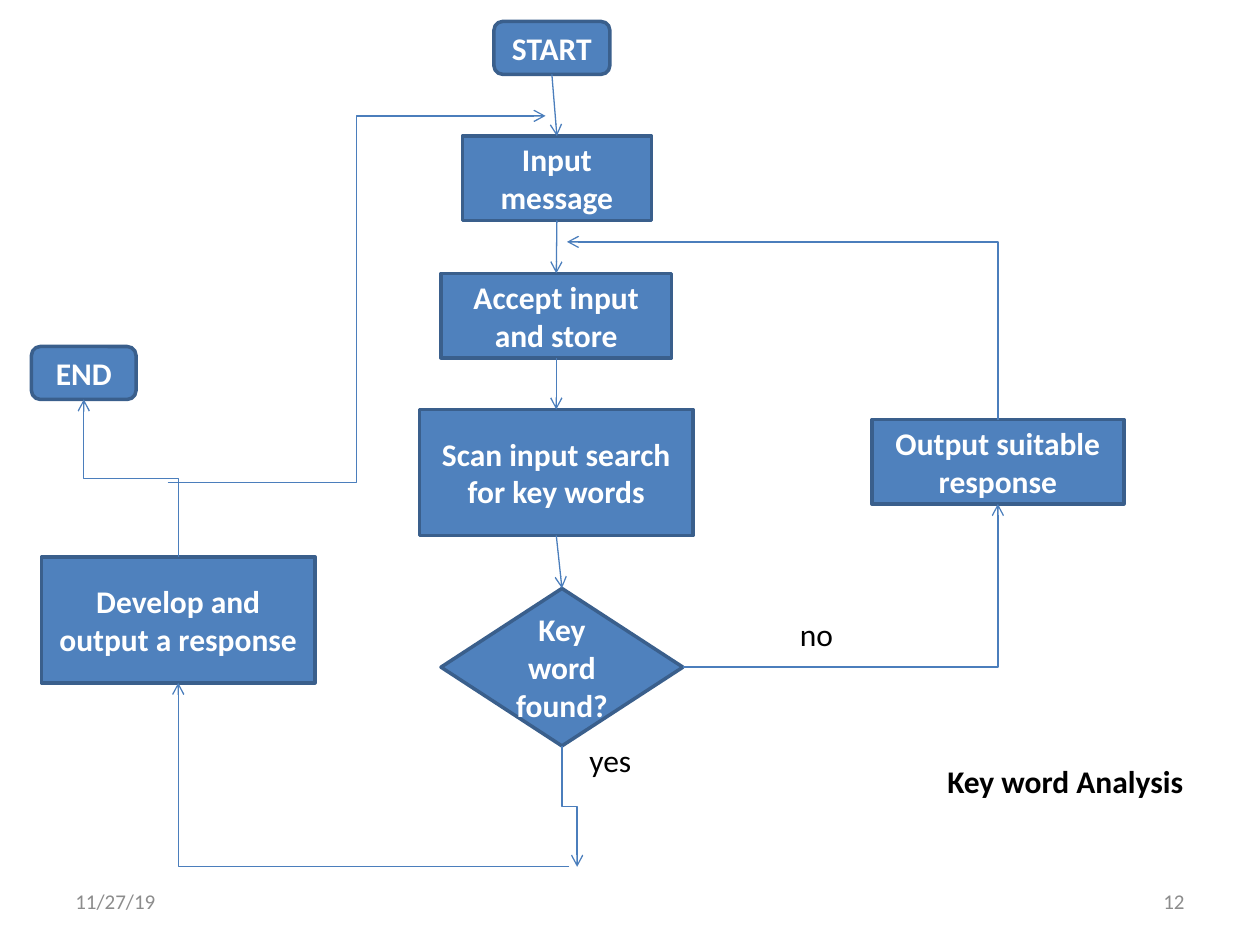
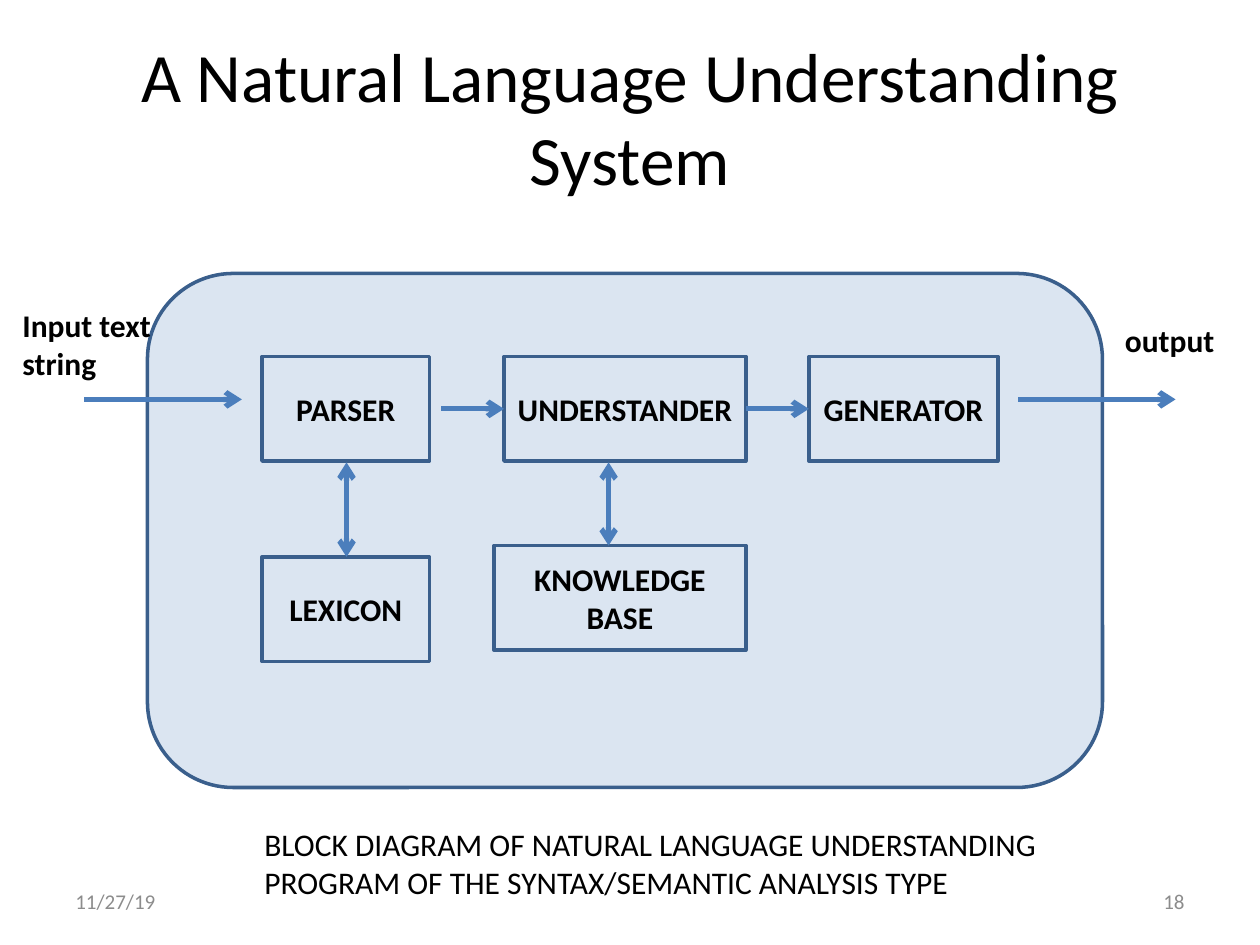
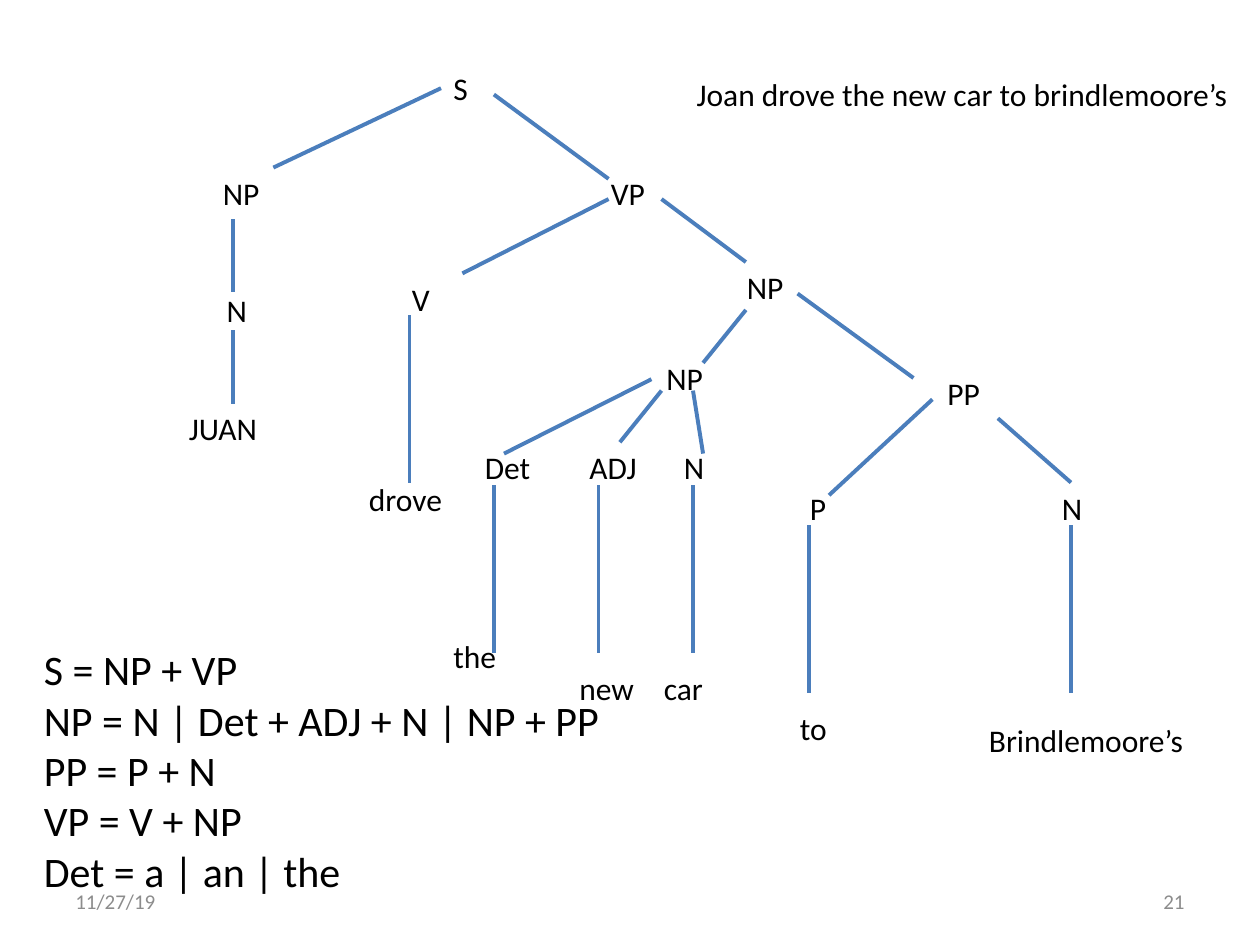
from dataclasses import dataclass

from lxml import etree
from pptx import Presentation
from pptx import util as u
from pptx.dml.color import RGBColor
from pptx.enum import shapes, text
from pptx.oxml.ns import qn
from pptx.slide import Slide

BLUE = RGBColor(0x4F, 0x81, 0xBD)
OUTLINE = RGBColor(0x3A, 0x5F, 0x8C)
LINK = RGBColor(0x4B, 0x7E, 0xBC)
BLACK = RGBColor(0, 0, 0)
WHITE = RGBColor(0xFF, 0xFF, 0xFF)
GREY = RGBColor(0x8C, 0x8C, 0x8C)
FONT = "Calibri"
DATE = "11/27/19"

FORM = shapes.MSO_SHAPE
ALIGN = text.PP_ALIGN
MIDDLE = text.MSO_ANCHOR.MIDDLE


def write(frame, content, size=18, color=BLACK, bold=False, align=ALIGN.LEFT):
    frame.word_wrap = True
    frame.text = content
    for paragraph in frame.paragraphs:
        paragraph.alignment = align
        for run in paragraph.runs:
            run.font.name = FONT
            run.font.size = u.Pt(size)
            run.font.bold = bold
            run.font.color.rgb = color


@dataclass
class Region:
    """A box on a slide; its parts are placed in inches from its corner."""
    slide: Slide
    left: float = 0
    top: float = 0

    def place(self, x, y):
        return u.Inches(self.left + x), u.Inches(self.top + y)

    def label(self, content, x, y, width, height=0.4, anchor=None, **style):
        box = self.slide.shapes.add_textbox(
            *self.place(x, y), u.Inches(width), u.Inches(height))
        write(box.text_frame, content, **style)
        if anchor is None:
            box.text_frame.auto_size = text.MSO_AUTO_SIZE.SHAPE_TO_FIT_TEXT
        else:
            box.text_frame.vertical_anchor = anchor

    def node(self, form, content, x, y, width, height, fill=BLUE, color=WHITE):
        node = self.slide.shapes.add_shape(
            form, *self.place(x, y), u.Inches(width), u.Inches(height))
        node.shadow.inherit = False
        if fill is None:
            node.fill.background()
        else:
            node.fill.solid()
            node.fill.fore_color.rgb = fill
        node.line.color.rgb = OUTLINE
        node.line.width = u.Pt(2)
        if content:
            write(node.text_frame, content, color=color, bold=True,
                  align=ALIGN.CENTER)
            node.text_frame.vertical_anchor = MIDDLE
        return node

    def side(self, node, name):
        """Middle of one side of a node, measured from the region's corner."""
        across, down = {"top": (0.5, 0), "bottom": (0.5, 1),
                        "left": (0, 0.5), "right": (1, 0.5)}[name]
        return ((node.left + across * node.width) / u.Inches(1) - self.left,
                (node.top + down * node.height) / u.Inches(1) - self.top)

    def line(self, start, end, width, ends=(), kind=shapes.MSO_CONNECTOR.STRAIGHT):
        line = self.slide.shapes.add_connector(
            kind, *self.place(*start), *self.place(*end))
        line.line.color.rgb = LINK
        line.line.width = u.Pt(width)
        for end_tag in ends:
            etree.SubElement(line.line._get_or_add_ln(), qn(end_tag), type="arrow")
        etree.SubElement(line._element.spPr, qn("a:effectLst"))
        return line

    def elbow(self, start, end, bends, upright=False):
        """Bent arrow; an upright one leaves its start vertically."""
        if upright:
            # Lay the route on its side, then turn it by 270 degrees
            (x1, y1), (x2, y2) = start, end
            mid_x, mid_y = (x1 + x2) / 2, (y1 + y2) / 2
            half_x, half_y = (y1 - y2) / 2, (x2 - x1) / 2
            start = mid_x - half_x, mid_y - half_y
            end = mid_x + half_x, mid_y + half_y
        arrow = self.line(start, end, 0.75, TO, shapes.MSO_CONNECTOR.ELBOW)
        properties = arrow._element.spPr
        properties.find(qn("a:prstGeom")).set("prst", f"bentConnector{bends + 1}")
        if upright:
            properties.find(qn("a:xfrm")).set("rot", str(270 * 60000))


TO = ("a:tailEnd",)
BOTH = ("a:headEnd", "a:tailEnd")


def add_footer(slide, number):
    footer = Region(slide, 0.5, 6.95)
    style = dict(size=12, color=GREY, anchor=MIDDLE)
    footer.label(DATE, 0, 0, 2.33, **style)
    footer.label(str(number), 6.67, 0, 2.33, align=ALIGN.RIGHT, **style)


def keyword_flowchart(area):
    step, terminal = FORM.FLOWCHART_PROCESS, FORM.FLOWCHART_ALTERNATE_PROCESS
    ask = area.node(step, "Input message", 3.67, 1.08, 1.5, 0.67)
    accept = area.node(step, "Accept input and store", 3.5, 2.17, 1.83, 0.67)
    scan = area.node(step, "Scan input search for key words", 3.33, 3.25, 2.17, 1)
    found = area.node(FORM.FLOWCHART_DECISION, "Key word found?", 3.5, 4.67, 1.92, 1.25)
    start = area.node(terminal, "START", 3.92, 0.17, 0.92, 0.42)
    end = area.node(terminal, "END", 0.25, 2.75, 0.83, 0.42)
    develop = area.node(step, "Develop and output a response", 0.33, 4.42, 2.17, 1)
    respond = area.node(step, "Output suitable response", 6.92, 3.33, 2, 0.67)

    # Main sequence
    sequence = [start, ask, accept, scan, found]
    for upper, lower in zip(sequence, sequence[1:]):
        area.line(area.side(upper, "bottom"), area.side(lower, "top"), 0.75, TO)

    # "No" branch, back to the input
    area.elbow(area.side(respond, "top"), (4.5, 1.92), 1, upright=True)
    area.elbow(area.side(found, "right"), area.side(respond, "bottom"), 1)

    # "Yes" branch, to the end or to the next message
    area.elbow(area.side(found, "bottom"), (4.58, 6.88), 2, upright=True)
    area.elbow((4.52, 6.88), area.side(develop, "bottom"), 1)
    area.elbow((1.33, 3.83), (4.33, 0.92), 2)
    area.elbow(area.side(develop, "top"), area.side(end, "bottom"), 2, upright=True)

    area.label("yes", 4.58, 5.83, 0.67)
    area.label("no", 6.25, 4.83, 0.67)
    area.label("Key word Analysis", 7.42, 6, 2.17, bold=True)


def system_diagram(area):
    # Translucent panel behind the blocks
    panel = area.node(FORM.ROUNDED_RECTANGLE, "", 0, 0, 7.58, 4.08)
    tint = panel._element.spPr.find(qn("a:solidFill"))[0]
    etree.SubElement(tint, qn("a:alpha"), val="20000")

    def block(name, x, y, width):
        return area.node(FORM.RECTANGLE, name, x, y, width, 0.83, None, BLACK)

    block("PARSER", 0.91, 0.66, 1.33)
    understander = block("UNDERSTANDER", 2.83, 0.66, 1.92)
    block("LEXICON", 0.91, 2.25, 1.33)
    block("KNOWLEDGE BASE", 2.75, 2.16, 2)
    generator = block("GENERATOR", 5.25, 0.66, 1.5)

    # Flow from input to output
    for x in (-0.5, 6.91):
        area.line((x, 1), (x + 1.25, 1), 3, TO)
    for target in (understander, generator):
        x, y = area.side(target, "left")
        area.line((x - 0.5, y), (x, y), 3, TO)

    # Exchange with the stores below
    for x, bottom in ((1.58, 2.25), (3.66, 2.16)):
        area.line((x, 1.5), (x, bottom), 3, BOTH)

    area.label("Input text string", -1.09, 0.21, 1.5, 0.71, bold=True)
    area.label("output", 7.66, 0.33, 1.17, bold=True)
    area.label("BLOCK DIAGRAM OF NATURAL LANGUAGE UNDERSTANDING PROGRAM "
               "OF THE SYNTAX/SEMANTIC ANALYSIS TYPE", 0.83, 4.33, 6.67, 0.71)


TREE_NODES = [
    ("S", 3.5, 0.5), ("NP", 1.67, 1.33), ("VP", 4.75, 1.33), ("N", 1.7, 2.26),
    ("V", 3.17, 2.17), ("NP", 5.83, 2.08), ("NP", 5.19, 2.8), ("PP", 7.42, 2.92),
    ("Det", 3.75, 3.51), ("ADJ", 4.58, 3.51), ("N", 5.33, 3.51),
    ("P", 6.33, 3.83), ("N", 8.33, 3.83),
    ("JUAN", 1.4, 3.2), ("drove", 2.83, 3.76), ("the", 3.5, 5.01),
    ("new", 4.5, 5.26), ("car", 5.17, 5.26), ("to", 6.25, 5.58),
]
BRANCHES = [
    ((3.5, 0.7), (2.17, 1.33)), ((3.92, 0.75), (4.83, 1.42)),
    ((4.83, 1.58), (3.67, 2.17)), ((5.25, 1.58), (5.92, 2.08)),
    ((5.92, 2.46), (5.58, 2.88)), ((6.33, 2.33), (7.25, 3)),
    ((5.17, 3.01), (4, 3.6)), ((5.25, 3.1), (4.92, 3.51)),
    ((5.5, 3.1), (5.58, 3.6)), ((7.4, 3.17), (6.58, 3.93)),
    ((7.92, 3.32), (8.5, 3.83)),
]
# Vertical lines: x, top, length
DROPS = [(1.85, 1.74, 0.58), (1.85, 2.62, 0.59), (3.25, 2.5, 1.33),
         (3.92, 3.85, 1.33), (4.75, 3.85, 1.33), (5.5, 3.85, 1.33),
         (6.42, 4.17, 1.33), (8.5, 4.17, 1.33)]
GRAMMAR = ["S = NP + VP", "NP = N | Det + ADJ + N | NP + PP", "PP = P + N",
           "VP = V + NP", "Det = a | an | the"]


def parse_tree(area):
    for name, x, y in TREE_NODES:
        area.label(name, x, y, 1)
    area.label("Brindlemoore’s", 7.75, 5.67, 1.92)
    area.label("Joan drove the new car to brindlemoore’s", 5.43, 0.55, 4.55)
    for start, end in BRANCHES:
        area.line(start, end, 2.25)
    for x, top, length in DROPS:
        area.line((x, top), (x, top + length), 2.25)


def grammar_rules(area):
    area.label("\n".join(GRAMMAR), 0, 0, 5.33, 2.12, size=24)


def main():
    deck = Presentation()
    deck.slide_width, deck.slide_height = u.Inches(10), u.Inches(7.5)

    def new_slide(number):
        slide = deck.slides.add_slide(deck.slide_layouts[6])
        add_footer(slide, number)
        return slide

    keyword_flowchart(Region(new_slide(12)))

    system = new_slide(18)
    Region(system, 0.5, 0.3).label(
        "A Natural Language Understanding System", 0, 0, 9, 1.25,
        anchor=MIDDLE, size=39.6, align=ALIGN.CENTER)
    system_diagram(Region(system, 1.17, 2.17))

    sentence = new_slide(21)
    parse_tree(Region(sentence))
    grammar_rules(Region(sentence, 0.25, 5.06))

    deck.save("out.pptx")


if __name__ == "__main__":
    main()
